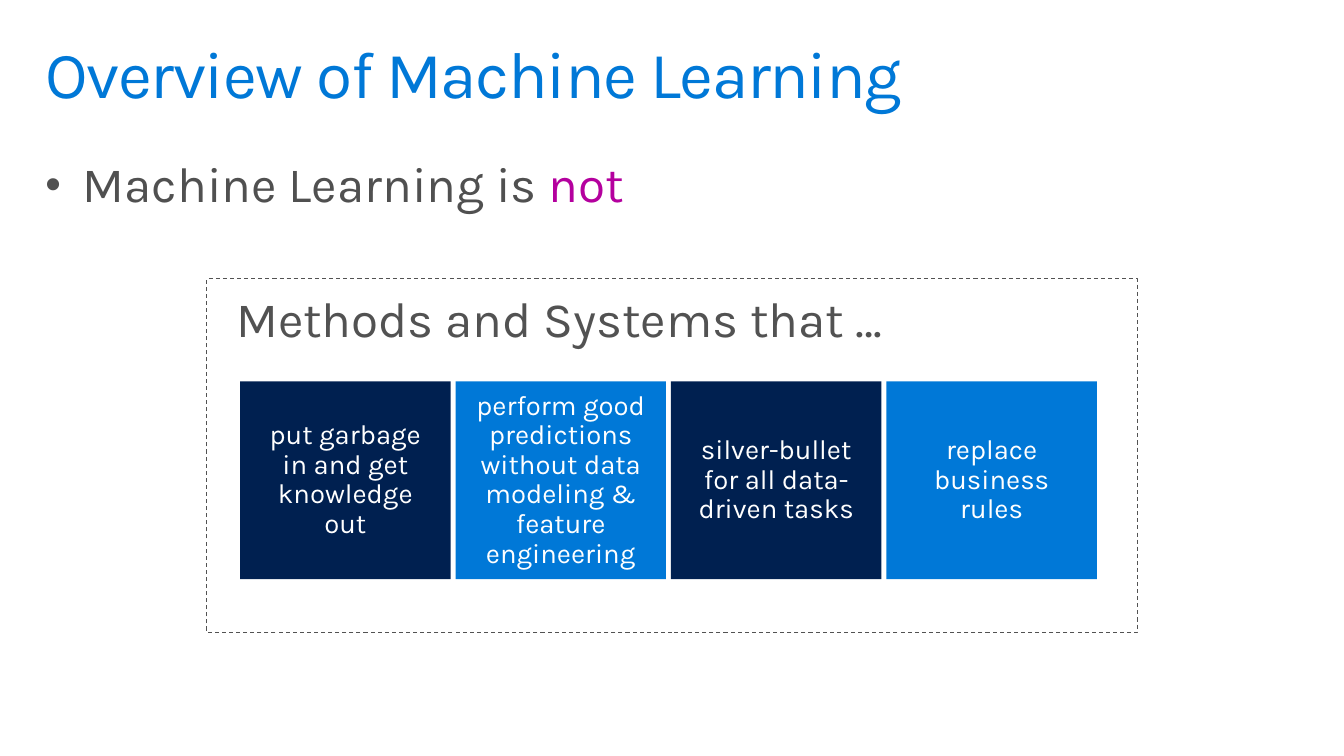
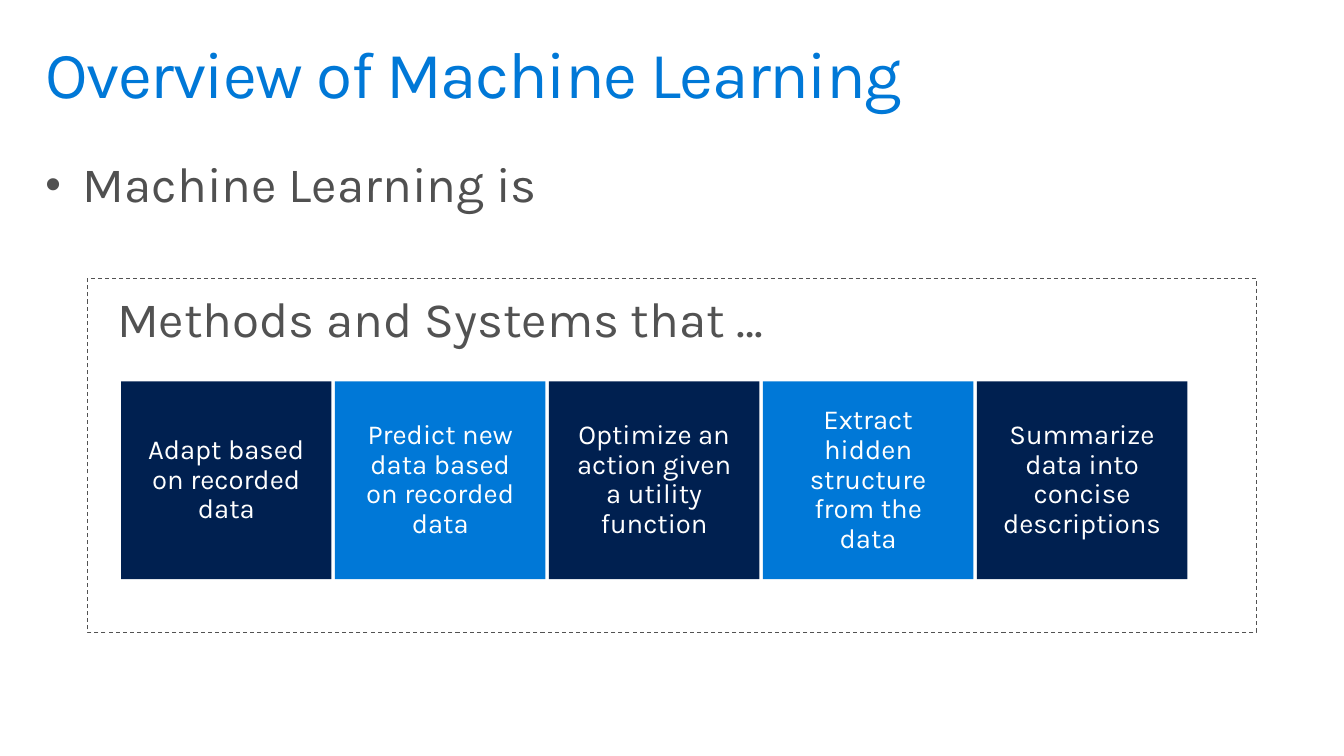
from dataclasses import dataclass
from typing import Optional

from lxml import etree
from pptx import Presentation
from pptx.dml.color import RGBColor
from pptx.enum.dml import MSO_LINE
from pptx.enum.shapes import MSO_SHAPE
from pptx.enum.text import MSO_ANCHOR, PP_ALIGN
from pptx.oxml.ns import qn
from pptx.util import Inches, Pt

RECTANGLE = MSO_SHAPE.RECTANGLE
DASH = MSO_LINE.DASH
TOP, MIDDLE = MSO_ANCHOR.TOP, MSO_ANCHOR.MIDDLE
LEFT, CENTER = PP_ALIGN.LEFT, PP_ALIGN.CENTER
CELL = Inches(0.1)
COLUMNS, ROWS = 136, 76.5
BLANK_LAYOUT = 6


@dataclass(frozen=True)
class Theme:
    font: str = "Karla"
    blue: str = "0078D7"
    navy: str = "002050"
    magenta: str = "B4009E"
    body: str = "505050"
    frame: str = "525252"
    white: str = "FFFFFF"
    title_size: int = 48
    body_size: int = 36
    tile_size: int = 20
    line_spacing: float = 0.9


@dataclass(frozen=True)
class Box:
    column: float
    row: float
    columns: float
    rows: float

    def emu(self) -> tuple[int, ...]:
        return tuple(round(n * CELL) for n in (self.column, self.row, self.columns, self.rows))


@dataclass(frozen=True)
class Part:
    text: str
    color: str


@dataclass(frozen=True)
class Overview:
    statement: list[Part]
    frame_columns: float
    tiles_columns: float
    tiles: list[str]


THEME = Theme()
TITLE = "Overview of Machine Learning"
FRAME_HEADING = "Methods and Systems that …"
TITLE_BOX = Box(3, 3.2, 130, 10)
STATEMENT_BOX = Box(3, 15.2, 130, 7.5)
FRAME_ROW, FRAME_ROWS = 28.2, 35.8
TILE_ROW, TILE_COLUMNS, TILE_ROWS = 38.6, 21.3, 20
TILE_INDENT = 3.4
TEXT_INSETS = (1.6, 1, 1.6, 1)
TILE_INSETS = (2, 1.6, 2, 1.6)
FRAME_INSETS = (3, 1.6, 2, 1.6)

OVERVIEWS = [
    Overview(
        [Part("Machine Learning is ", THEME.body), Part("not", THEME.magenta)],
        94.2, 86.7,
        [
            "put garbage in and get knowledge out",
            "perform good predictions without data modeling & feature engineering",
            "silver-bullet for all data-driven tasks",
            "replace business rules",
        ],
    ),
    Overview(
        [Part("Machine Learning is", THEME.body)],
        118.3, 107.9,
        [
            "Adapt based on recorded data",
            "Predict new data based on recorded data",
            "Optimize an action given a utility function",
            "Extract hidden structure from the data",
            "Summarize data into concise descriptions",
        ],
    ),
]


def add_bullet(paragraph) -> None:
    properties = paragraph._p.get_or_add_pPr()
    properties.set("marL", str(Inches(0.38)))
    properties.set("indent", str(-Inches(0.38)))
    for tag, key, value in (
        ("a:buSzPct", "val", "90000"),
        ("a:buFont", "typeface", "Arial"),
        ("a:buChar", "char", "•"),
    ):
        etree.SubElement(properties, qn(tag)).set(key, value)


def write(shape, parts: list[Part], *, size: int, insets=TEXT_INSETS, align=LEFT,
          anchor=TOP, bullet: bool = False, tracking: Optional[int] = None) -> None:
    frame = shape.text_frame
    frame.word_wrap = True
    frame.vertical_anchor = anchor
    frame.margin_left, frame.margin_top, frame.margin_right, frame.margin_bottom = (
        round(inset * CELL) for inset in insets
    )
    paragraph = frame.paragraphs[0]
    paragraph.alignment = align
    paragraph.line_spacing = THEME.line_spacing
    if bullet:
        add_bullet(paragraph)
    for part in parts:
        run = paragraph.add_run()
        run.text = part.text
        run.font.name = THEME.font
        run.font.size = Pt(size)
        run.font.color.rgb = RGBColor.from_string(part.color)
        if tracking is not None:
            run.font._element.set("spc", str(tracking))


def add_rectangle(slide, box: Box, *, fill: Optional[str] = None, line: Optional[str] = None):
    rectangle = slide.shapes.add_shape(RECTANGLE, *box.emu())
    rectangle.shadow.inherit = False
    if fill:
        rectangle.fill.solid()
        rectangle.fill.fore_color.rgb = RGBColor.from_string(fill)
    else:
        rectangle.fill.background()
    if line:
        rectangle.line.color.rgb = RGBColor.from_string(line)
        rectangle.line.width = Pt(0.75)
        rectangle.line.dash_style = DASH
    else:
        rectangle.line.fill.background()
    return rectangle


def add_tiles(slide, overview: Overview, first_column: float) -> None:
    pitch = (overview.tiles_columns - TILE_COLUMNS) / (len(overview.tiles) - 1)
    for index, text in enumerate(overview.tiles):
        box = Box(first_column + index * pitch, TILE_ROW, TILE_COLUMNS, TILE_ROWS)
        tile = add_rectangle(slide, box, fill=(THEME.navy, THEME.blue)[index % 2])
        write(tile, [Part(text, THEME.white)], size=THEME.tile_size, insets=TILE_INSETS,
              align=CENTER, anchor=MIDDLE)


def add_overview(deck, overview: Overview) -> None:
    slide = deck.slides.add_slide(deck.slide_layouts[BLANK_LAYOUT])
    title = slide.shapes.add_textbox(*TITLE_BOX.emu())
    write(title, [Part(TITLE, THEME.blue)], size=THEME.title_size, tracking=-100)
    statement = slide.shapes.add_textbox(*STATEMENT_BOX.emu())
    write(statement, overview.statement, size=THEME.body_size, bullet=True)

    frame_column = (COLUMNS - overview.frame_columns) / 2
    frame_box = Box(frame_column, FRAME_ROW, overview.frame_columns, FRAME_ROWS)
    frame = add_rectangle(slide, frame_box, line=THEME.frame)
    write(frame, [Part(FRAME_HEADING, THEME.frame)], size=THEME.body_size, insets=FRAME_INSETS)
    add_tiles(slide, overview, frame_column + TILE_INDENT)


def main() -> None:
    deck = Presentation()
    deck.slide_width, deck.slide_height = round(COLUMNS * CELL), round(ROWS * CELL)
    for overview in OVERVIEWS:
        add_overview(deck, overview)
    deck.save("out.pptx")


if __name__ == "__main__":
    main()
